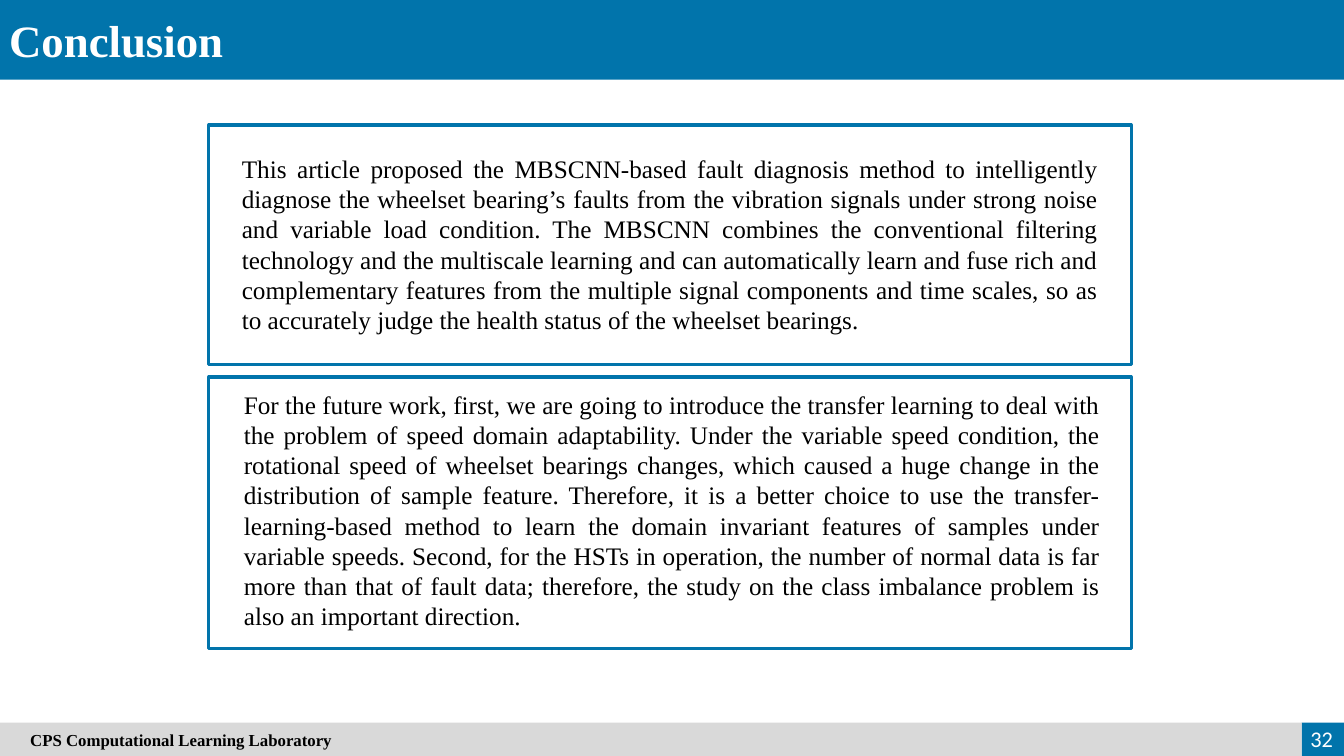
from dataclasses import dataclass

from pptx import Presentation
from pptx.dml.color import RGBColor
from pptx.enum.shapes import MSO_SHAPE
from pptx.enum.text import MSO_ANCHOR, MSO_AUTO_SIZE, PP_ALIGN
from pptx.util import Inches, Pt

RECTANGLE = MSO_SHAPE.RECTANGLE
TOP, MIDDLE = MSO_ANCHOR.TOP, MSO_ANCHOR.MIDDLE
LEFT, RIGHT, JUSTIFY = PP_ALIGN.LEFT, PP_ALIGN.RIGHT, PP_ALIGN.JUSTIFY
NO_AUTOFIT = MSO_AUTO_SIZE.NONE


@dataclass(frozen=True)
class Theme:
    blue: RGBColor = RGBColor(0x01, 0x74, 0xAB)
    gray: RGBColor = RGBColor(0xD9, 0xD9, 0xD9)
    white: RGBColor = RGBColor(0xFF, 0xFF, 0xFF)
    black: RGBColor = RGBColor(0, 0, 0)
    serif: str = "Times New Roman"
    sans: str = "Calibri"
    title_size: int = 32
    body_size: int = 18
    number_size: int = 16
    footer_size: int = 12
    border: float = 2.25


THEME = Theme()
WIDTH, HEIGHT = 13.33, 7.5
HEADER_HEIGHT = 0.79
FOOTER_HEIGHT = 0.33
NUMBER_WIDTH = 0.42
PANEL_LEFT, PANEL_WIDTH = 2.07, 9.15
PANEL_TOP, PANEL_GAP = 1.24, 0.12
TEXT_WIDTH = 8.69

# Each panel: height, left inset, top inset, text
PANELS = [
    (2.38, 0.23, 0.23,
     "This article proposed the MBSCNN-based fault diagnosis method to intelligently "
     "diagnose the wheelset bearing’s faults from the vibration signals under strong "
     "noise and variable load condition. The MBSCNN combines the conventional filtering "
     "technology and the multiscale learning and can automatically learn and fuse rich "
     "and complementary features from the multiple signal components and time scales, "
     "so as to accurately judge the health status of the wheelset bearings."),
    (2.69, 0.25, 0.07,
     "For the future work, first, we are going to introduce the transfer learning to "
     "deal with the problem of speed domain adaptability. Under the variable speed "
     "condition, the rotational speed of wheelset bearings changes, which caused a huge "
     "change in the distribution of sample feature. Therefore, it is a better choice to "
     "use the transfer-learning-based method to learn the domain invariant features of "
     "samples under variable speeds. Second, for the HSTs in operation, the number of "
     "normal data is far more than that of fault data; therefore, the study on the class "
     "imbalance problem is also an important direction."),
]


def add_rectangle(page, box, fill=None, line=None):
    shape = page.shapes.add_shape(RECTANGLE, *map(Inches, box))
    shape.shadow.inherit = False
    if fill is None:
        shape.fill.background()
    else:
        shape.fill.solid()
        shape.fill.fore_color.rgb = fill
    if line is None:
        shape.line.fill.background()
    else:
        shape.line.color.rgb = line
        shape.line.width = Pt(THEME.border)
    return shape


def write(shape, text, size, color, align, anchor=TOP, font=THEME.serif, bold=False):
    frame = shape.text_frame
    frame.word_wrap = True
    frame.auto_size = NO_AUTOFIT
    frame.vertical_anchor = anchor
    para = frame.paragraphs[0]
    para.text = text
    para.alignment = align
    para.font.name = font
    para.font.size = Pt(size)
    para.font.bold = bold
    para.font.color.rgb = color


def add_text(page, box, *args, **options):
    write(page.shapes.add_textbox(*map(Inches, box)), *args, **options)


def add_header(page, box, text):
    left, top, width, height = box
    title = page.shapes.title
    bar = add_rectangle(page, box, fill=THEME.blue)
    title.element.addprevious(bar.element)  # keeps the title in front of the bar
    title.left, title.top = Inches(left - 0.01), Inches(top + 0.08)
    title.width, title.height = Inches(0.4 * width), Inches(height - 0.15)
    write(title, text, THEME.title_size, THEME.white, JUSTIFY, bold=True)


def add_footer(page, box, text, number):
    left, top, width, height = box
    split = left + width - NUMBER_WIDTH
    add_rectangle(page, (split, top, NUMBER_WIDTH, height), fill=THEME.blue)
    bar = add_rectangle(page, (left, top, split - left, height), fill=THEME.gray)
    bar.text_frame.margin_left = Inches(0.3)
    write(bar, text, THEME.footer_size, THEME.black, LEFT, MIDDLE, bold=True)
    add_text(page, (split - 0.22, top - 0.04, 1.5 * NUMBER_WIDTH, 0.4), number,
             THEME.number_size, THEME.white, RIGHT, MIDDLE, font=THEME.sans)


def add_panel(page, box, inset_left, inset_top, text):
    left, top, width, height = box
    add_rectangle(page, box, line=THEME.blue)
    text_box = (left + inset_left, top + inset_top, TEXT_WIDTH, height - 2 * inset_top)
    add_text(page, text_box, text, THEME.body_size, THEME.black, JUSTIFY)


def add_conclusion(deck):
    page = deck.slides.add_slide(deck.slide_layouts.get_by_name("Title Only"))
    add_header(page, (0, 0, WIDTH, HEADER_HEIGHT), "Conclusion")
    top = PANEL_TOP
    for height, inset_left, inset_top, text in PANELS:
        add_panel(page, (PANEL_LEFT, top, PANEL_WIDTH, height), inset_left, inset_top, text)
        top += height + PANEL_GAP
    add_footer(page, (0, HEIGHT - FOOTER_HEIGHT, WIDTH, FOOTER_HEIGHT),
               "CPS Computational Learning Laboratory", "32")


def main():
    deck = Presentation()
    deck.slide_width, deck.slide_height = Inches(WIDTH), Inches(HEIGHT)
    add_conclusion(deck)
    deck.save("out.pptx")


if __name__ == "__main__":
    main()
